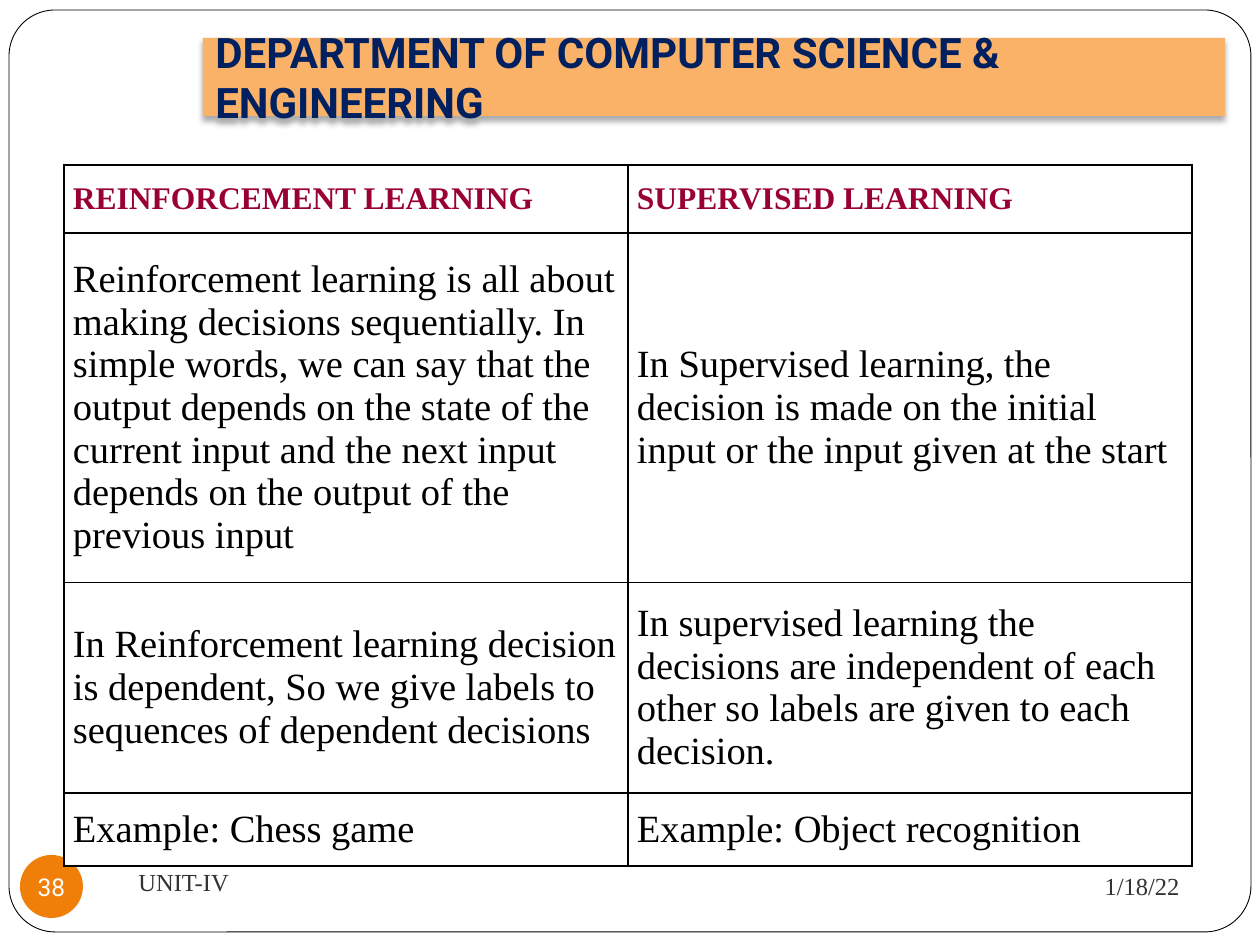
from lxml import etree
from pptx import Presentation
from pptx.dml.color import RGBColor
from pptx.enum.shapes import MSO_SHAPE
from pptx.enum.text import MSO_ANCHOR, PP_ALIGN
from pptx.oxml.ns import qn
from pptx.util import Pt

PX = 914400 / 126
LEFT, CENTER, RIGHT = PP_ALIGN.LEFT, PP_ALIGN.CENTER, PP_ALIGN.RIGHT
MIDDLE = MSO_ANCHOR.MIDDLE
RECT, ROUND, OVAL = MSO_SHAPE.RECTANGLE, MSO_SHAPE.ROUNDED_RECTANGLE, MSO_SHAPE.OVAL
SERIF, SANS = "Times New Roman", "Roboto"
COLORS = {
    "white": "FFFFFF",
    "black": "000000",
    "banner": "F9B268",
    "navy": "002060",
    "outline": "37672C",
    "gray": "323232",
    "orange": "F07F09",
    "crimson": "990033",
}
ROWS = [
    ("REINFORCEMENT LEARNING", "SUPERVISED LEARNING"),
    (
        "Reinforcement learning is all about making decisions sequentially. "
        "In simple words, we can say that the output depends on the state of the "
        "current input and the next input depends on the output of the previous input",
        "In Supervised learning, the decision is made on the initial input "
        "or the input given at the start",
    ),
    (
        "In Reinforcement learning decision is dependent, So we give labels to "
        "sequences of dependent decisions",
        "In supervised learning the decisions are independent of each other so "
        "labels are given to each decision.",
    ),
    ("Example: Chess game", "Example: Object recognition"),
]
ROW_HEIGHTS = [68, 344, 207, 73]


def px(n):
    return round(n * PX)


def rgb(name):
    return RGBColor.from_string(COLORS[name])


def add_solid(parent, color):
    fill = etree.SubElement(parent, qn("a:solidFill"))
    return etree.SubElement(fill, qn("a:srgbClr"), val=COLORS[color])


def put_text(tf, text, size=14, color="gray", font=SERIF, bold=False, align=LEFT):
    p = tf.paragraphs[0]
    p.alignment = align
    r = p.add_run()
    r.text = text
    r.font.size = Pt(size)
    r.font.name = font
    r.font.bold = bold
    r.font.color.rgb = rgb(color)
    return r


def add_box(s, shape, box, fill):
    sp = s.shapes.add_shape(shape, *map(px, box))
    sp.shadow.inherit = False
    sp.fill.solid()
    sp.fill.fore_color.rgb = rgb(fill)
    sp.line.fill.background()
    sp.text_frame.vertical_anchor = MIDDLE
    return sp


def add_label(s, box, text, **fmt):
    tf = s.shapes.add_textbox(*map(px, box)).text_frame
    tf.word_wrap = True
    tf.vertical_anchor = MIDDLE
    put_text(tf, text, **fmt)


def add_frame(s, box):
    sp = add_box(s, ROUND, box, "white")
    sp.adjustments[0] = 0.05
    sp.line.color.rgb = rgb("black")
    sp.line.width = Pt(0.5)


def add_banner(s, box, text):
    sp = add_box(s, RECT, box, "banner")
    effects = sp._element.spPr.find(qn("a:effectLst"))
    shadow = etree.SubElement(
        effects, qn("a:outerShdw"), blurRad=str(Pt(3.5)), dist=str(Pt(2.2)),
        dir="5400000", rotWithShape="0",
    )
    clr = etree.SubElement(shadow, qn("a:srgbClr"), val=COLORS["black"])
    etree.SubElement(clr, qn("a:alpha"), val="32000")
    sp.text_frame.word_wrap = True
    r = put_text(sp.text_frame, text, size=24, color="navy", font=SANS, bold=True)
    ln = etree.Element(qn("a:ln"), w=str(Pt(0.71)))
    add_solid(ln, "outline")
    r.font._element.insert(0, ln)


def add_borders(cell):
    tc_pr = cell._tc.get_or_add_tcPr()
    for i, side in enumerate(("lnL", "lnR", "lnT", "lnB")):
        ln = etree.Element(qn(f"a:{side}"), w=str(Pt(1)))
        add_solid(ln, "black")
        tc_pr.insert(i, ln)


def add_comparison(s, box, rows, heights):
    table = s.shapes.add_table(len(rows), len(rows[0]), *map(px, box)).table
    table.first_row = False
    table.horz_banding = False
    for col in table.columns:
        col.width = px(box[2] / len(rows[0]))
    for i, (texts, height) in enumerate(zip(rows, heights)):
        table.rows[i].height = px(height)
        header = i == 0
        for j, text in enumerate(texts):
            cell = table.cell(i, j)
            cell.fill.solid()
            cell.fill.fore_color.rgb = rgb("white")
            add_borders(cell)
            cell.vertical_anchor = MIDDLE
            cell.margin_left = cell.margin_right = px(9)
            cell.margin_top = cell.margin_bottom = px(9 if header else 13)
            put_text(
                cell.text_frame, text, size=18 if header else 22,
                color="crimson" if header else "black", bold=header,
            )


def add_footer(s, box, number, unit, date):
    x, y, w, h = box
    badge = add_box(s, OVAL, (x, y, h, h), "orange")
    tf = badge.text_frame
    tf.margin_left = tf.margin_right = tf.margin_top = tf.margin_bottom = 0
    tf.word_wrap = False
    put_text(tf, number, color="white", font=SANS, align=CENTER)
    add_label(s, (x + 106, y - 5, 546, h), unit)
    add_label(s, (x + w - 341, y - 2, 341, 66), date, align=RIGHT)


def main():
    prs = Presentation()
    prs.slide_width, prs.slide_height = px(1260), px(945)
    s = prs.slides.add_slide(prs.slide_layouts[6])
    add_frame(s, (9, 10, 1242, 922))
    add_banner(s, (203, 38, 1022, 78), "DEPARTMENT OF COMPUTER SCIENCE & ENGINEERING")
    add_footer(s, (20, 855, 1172, 63), "38", "UNIT-IV", "1/18/22")
    add_comparison(s, (64, 165, 1128, sum(ROW_HEIGHTS)), ROWS, ROW_HEIGHTS)
    prs.save("out.pptx")


if __name__ == "__main__":
    main()
